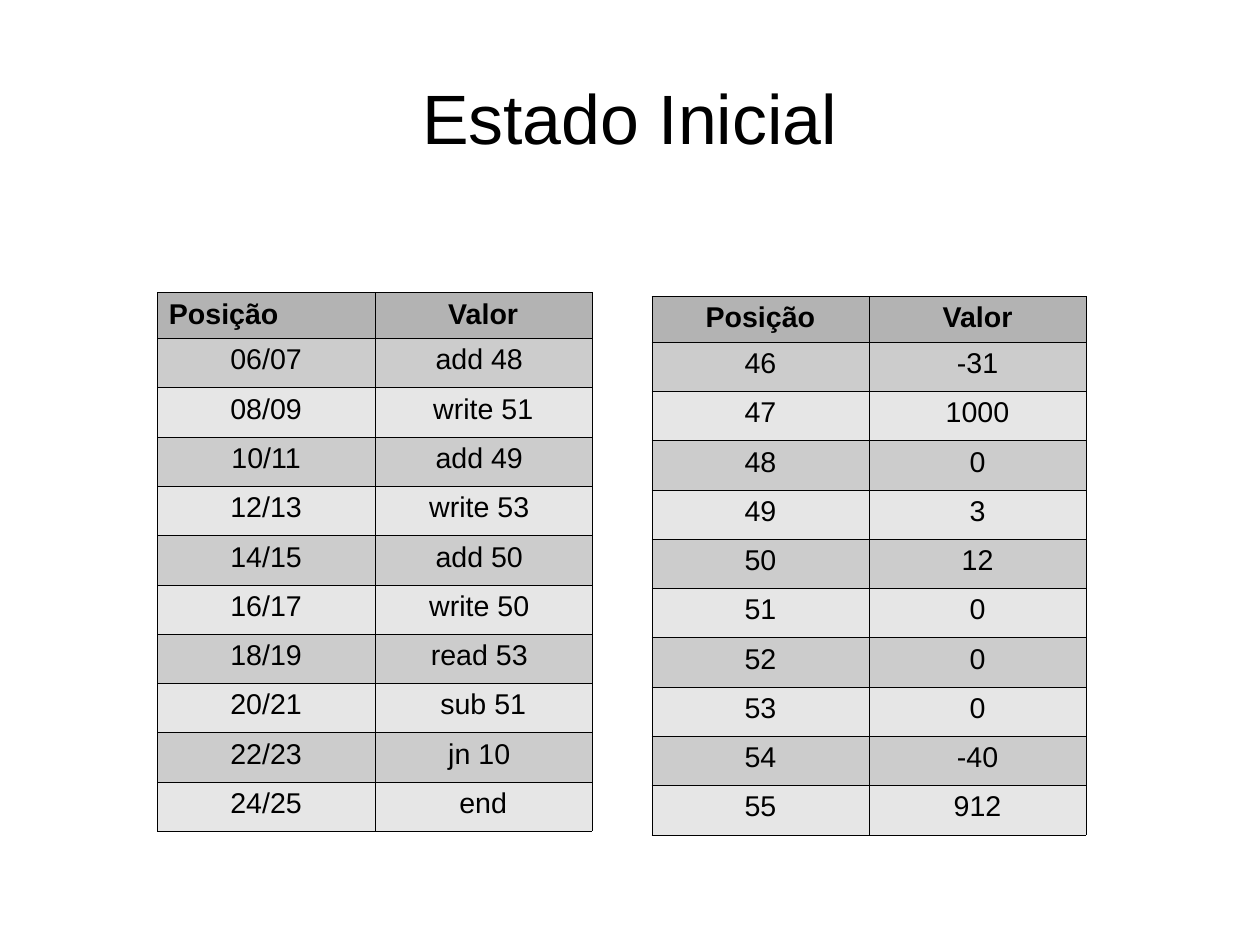
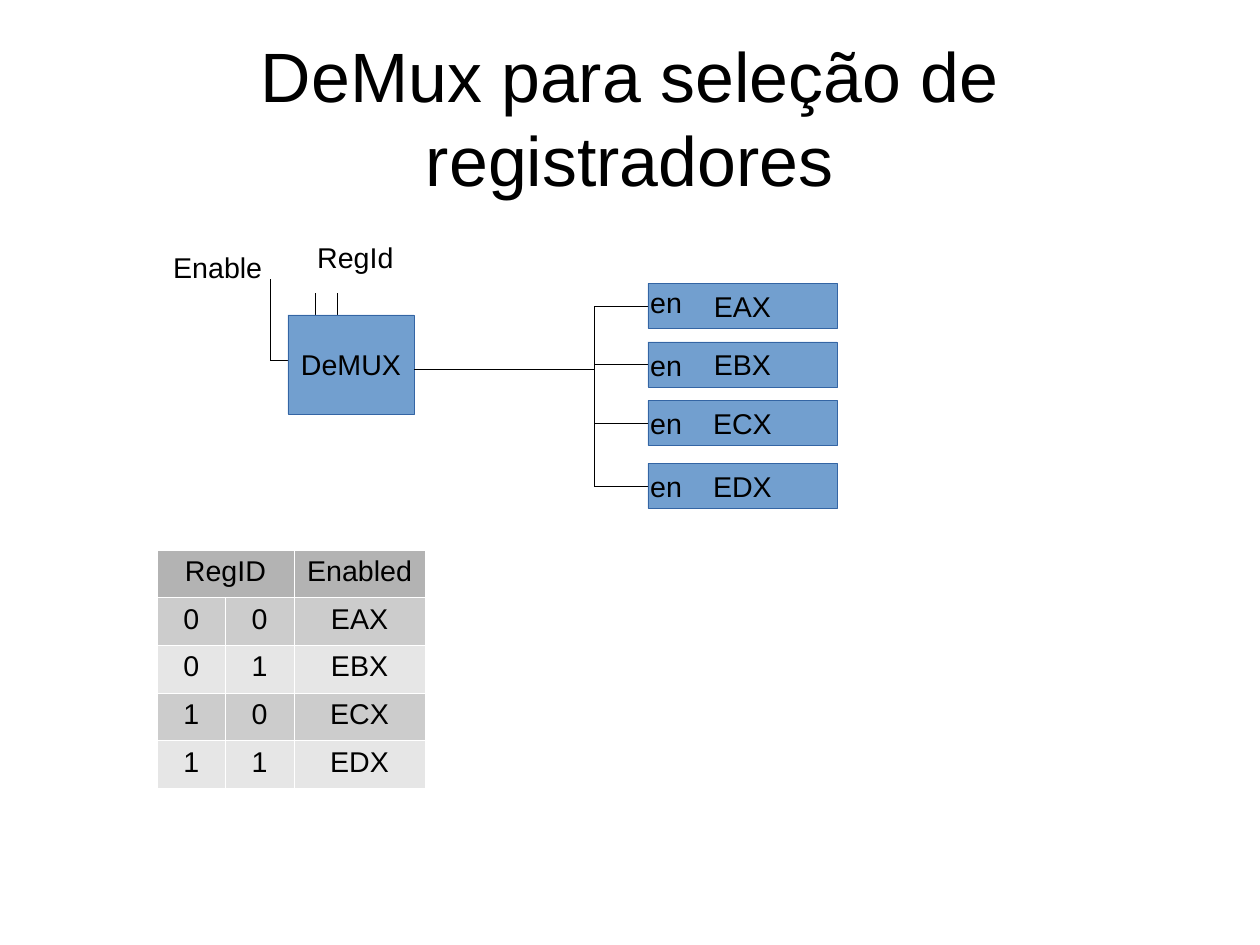
from lxml import etree
from pptx import Presentation
from pptx.dml.color import RGBColor
from pptx.enum.shapes import MSO_CONNECTOR, MSO_SHAPE
from pptx.enum.text import MSO_ANCHOR, PP_ALIGN
from pptx.oxml.ns import qn
from pptx.util import Mm, Pt

LEFT, CENTER = PP_ALIGN.LEFT, PP_ALIGN.CENTER
TOP, MIDDLE = MSO_ANCHOR.TOP, MSO_ANCHOR.MIDDLE
RECT, STRAIGHT = MSO_SHAPE.RECTANGLE, MSO_CONNECTOR.STRAIGHT

# The slide is a grid of square cells; all lengths are counted in cells.
CELL_MM = 5
COLS, ROWS = 56, 42

FONT = "Arial"
TITLE_SIZE, BODY_SIZE = 44, 18
BLACK, WHITE = "000000", "FFFFFF"
BOX_FILL, BOX_LINE = "729FCF", "3465A4"
HEADER_FILL = "B3B3B3"
BAND_FILLS = ("CCCCCC", "E6E6E6")
HAIRLINE = Pt(0.06)
LABEL_HEIGHT = 1.93

PROGRAM = [
    ("Posição", "Valor"),
    ("06/07", "add 48 "),
    ("08/09", "write 51"),
    ("10/11", "add 49 "),
    ("12/13", "write 53 "),
    ("14/15", "add 50 "),
    ("16/17", "write 50 "),
    ("18/19", "read 53 "),
    ("20/21", "sub 51"),
    ("22/23", "jn 10 "),
    ("24/25", "end"),
]
MEMORY_VALUES = ["-31", "1000", "0", "3", "12", "0", "0", "0", "-40", "912"]
MEMORY = [("Posição", "Valor")] + [
    (str(position), value) for position, value in enumerate(MEMORY_VALUES, 46)]
REGISTERS = ["EAX", "EBX", "ECX", "EDX"]
SELECTION = [("RegID", "", "Enabled")] + [
    (*format(i, "02b"), name) for i, name in enumerate(REGISTERS)]


def cells(n):
    return Mm(n * CELL_MM)


def rgb(color):
    return RGBColor.from_string(color)


def set_text(tf, text, size=BODY_SIZE, align=CENTER, bold=False):
    p = tf.paragraphs[0]
    p.text = text
    p.alignment = align
    for r in p.runs:
        r.font.name = FONT
        r.font.size = Pt(size)
        r.font.bold = bold
        r.font.color.rgb = rgb(BLACK)


def add_title_slide(prs, title):
    """Add a blank slide with the shared centred title."""
    s = prs.slides.add_slide(prs.slide_layouts[6])
    tf = s.shapes.add_textbox(*map(cells, (2.8, 1.68, 50.4, 7))).text_frame
    tf.margin_left = tf.margin_right = tf.margin_top = tf.margin_bottom = 0
    tf.word_wrap = True
    tf.vertical_anchor = MIDDLE
    set_text(tf, title, TITLE_SIZE)
    return s


def add_label(s, text, x, y, w):
    sp = s.shapes.add_textbox(*map(cells, (x, y, w, LABEL_HEIGHT)))
    sp.text_frame.word_wrap = True
    sp.text_frame.vertical_anchor = TOP
    set_text(sp.text_frame, text, align=LEFT)


def set_line(line, color):
    line.color.rgb = rgb(color)
    line.width = HAIRLINE


def add_block(s, text, x, y, w, h):
    sp = s.shapes.add_shape(RECT, *map(cells, (x, y, w, h)))
    sp.shadow.inherit = False
    sp.fill.solid()
    sp.fill.fore_color.rgb = rgb(BOX_FILL)
    set_line(sp.line, BOX_LINE)
    sp.text_frame.word_wrap = False
    sp.text_frame.vertical_anchor = MIDDLE
    set_text(sp.text_frame, text)


def add_wire(s, x1, y1, x2, y2):
    wire = s.shapes.add_connector(STRAIGHT, *map(cells, (x1, y1, x2, y2)))
    set_line(wire.line, BLACK)
    etree.SubElement(wire.element.spPr, qn("a:effectLst"))


def set_borders(cell, color):
    tc_pr = cell._tc.get_or_add_tcPr()
    for side in ("a:lnL", "a:lnR", "a:lnT", "a:lnB"):
        ln = etree.SubElement(tc_pr, qn(side), w=str(int(HAIRLINE)))
        fill = etree.SubElement(ln, qn("a:solidFill"))
        etree.SubElement(fill, qn("a:srgbClr"), val=color)


def add_banded_table(s, rows, x, y, widths, header_height, row_height,
                     border, bold_header=False):
    heights = [header_height] + [row_height] * (len(rows) - 1)
    table = s.shapes.add_table(
        len(rows), len(widths),
        *map(cells, (x, y, sum(widths), sum(heights)))).table
    for column, width in zip(table.columns, widths):
        column.width = cells(width)
    for i, (values, height) in enumerate(zip(rows, heights)):
        table.rows[i].height = cells(height)
        for j, value in enumerate(values):
            cell = table.cell(i, j)
            set_borders(cell, border)
            cell.fill.solid()
            color = BAND_FILLS[(i - 1) % 2] if i else HEADER_FILL
            cell.fill.fore_color.rgb = rgb(color)
            set_text(cell.text_frame, value, bold=bold_header and i == 0)
    return table


def add_initial_state(prs):
    s = add_title_slide(prs, "Estado Inicial")
    style = ((9.65, 9.65), 1.98, 2.19, BLACK, True)
    program = add_banded_table(s, PROGRAM, 7, 13, *style)
    program.cell(0, 0).text_frame.paragraphs[0].alignment = LEFT
    add_banded_table(s, MEMORY, 28.97, 13.16, *style)


def add_demux(prs):
    s = add_title_slide(prs, "DeMux para seleção de registradores")

    demux_x, demux_y, demux_w, demux_h = 12.8, 14, 5.6, 4.4
    add_wire(s, 12, 16, demux_x, 16)
    add_wire(s, 12, 16, 12, 12.4)
    for x in (14, 15):
        add_wire(s, x, 14.2, x, 13)
    add_block(s, "DeMUX", demux_x, demux_y, demux_w, demux_h)
    add_label(s, "Enable", 7.2, 10.86, 5.6)
    add_label(s, "RegId", 13.6, 10.4, 5.2)

    bus_x, register_x, register_h = 26.4, 28.8, 2
    tops = (12.6, 15.2, 17.8, 20.6)
    enable_tops = (12.4, *tops[1:])
    middles = [top + register_h / 2 for top in tops]
    add_wire(s, demux_x + demux_w, 16.4, bus_x, 16.4)
    add_wire(s, bus_x, middles[0], bus_x, middles[-1])
    for name, top, middle, enable_top in zip(
            REGISTERS, tops, middles, enable_tops):
        add_block(s, name, register_x, top, 8.4, register_h)
        add_wire(s, register_x, middle, bus_x, middle)
        add_label(s, "en", 28.4, enable_top, 3)

    selection = add_banded_table(
        s, SELECTION, 6.98, 24.43, (3.04, 3.04, 5.84), 2.12, 2.12, WHITE)
    selection.cell(0, 0).merge(selection.cell(0, 1))


def main():
    prs = Presentation()
    prs.slide_width, prs.slide_height = cells(COLS), cells(ROWS)
    add_initial_state(prs)
    add_demux(prs)
    prs.save("out.pptx")


if __name__ == "__main__":
    main()
